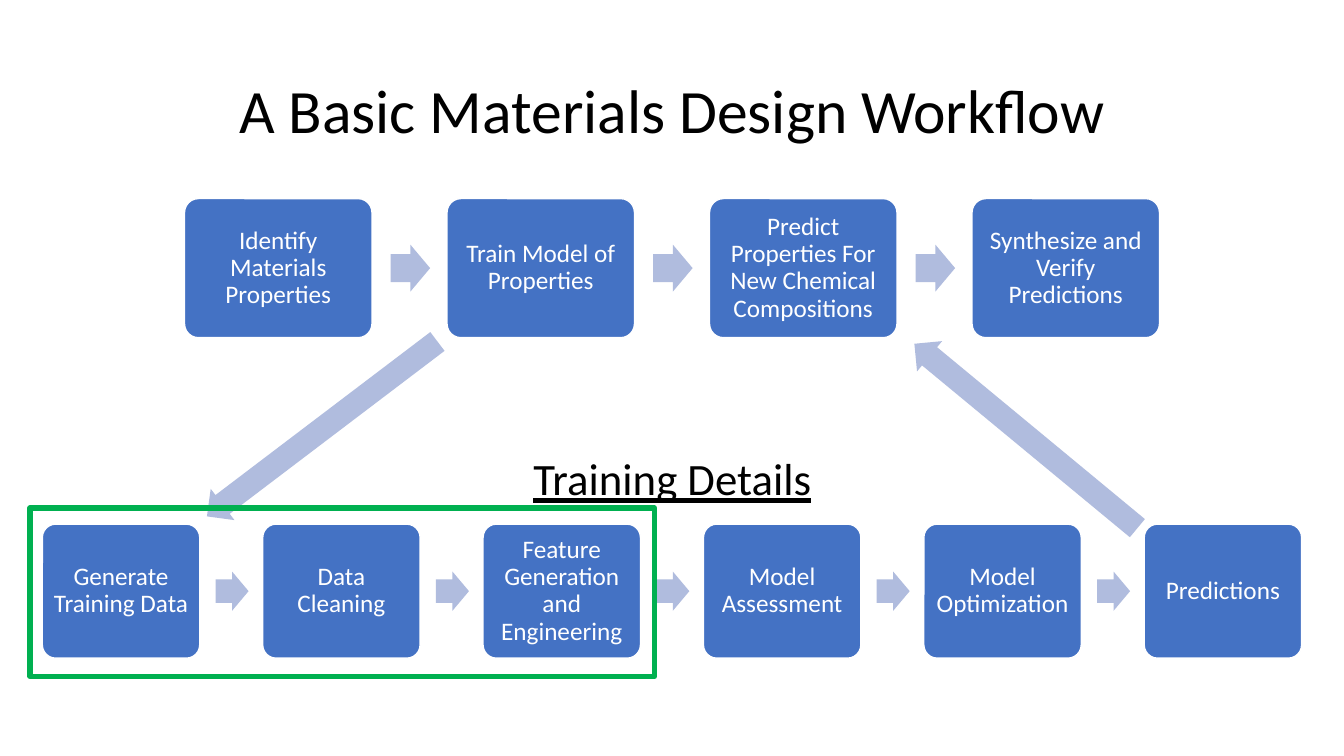
from pptx import Presentation
from pptx.dml.color import RGBColor
from pptx.enum.shapes import MSO_SHAPE
from pptx.enum.text import MSO_ANCHOR, PP_ALIGN
from pptx.util import Inches, Pt

BLUE = "4472C4"
PALE_BLUE = "B0BCDE"
GREEN = "00B050"
WHITE = "FFFFFF"
BLACK = "000000"

DESIGN_STEPS = [
    "Identify Materials Properties",
    "Train Model of Properties",
    "Predict Properties For New Chemical Compositions",
    "Synthesize and Verify Predictions",
]
TRAINING_STEPS = [
    "Generate Training Data",
    "Data Cleaning",
    "Feature Generation and Engineering",
    "Model Assessment",
    "Model Optimization",
    "Predictions",
]


def color(hex_string):
    return RGBColor.from_string(hex_string)


def write_text(shape, text, size=18, hex_color=BLACK, underline=None, margin=None):
    frame = shape.text_frame
    frame.word_wrap = True
    frame.vertical_anchor = MSO_ANCHOR.MIDDLE
    if margin is not None:
        frame.margin_left = frame.margin_right = Inches(margin)
        frame.margin_top = frame.margin_bottom = Inches(margin)
    paragraph = frame.paragraphs[0]
    paragraph.alignment = PP_ALIGN.CENTER
    paragraph.line_spacing = 0.9
    run = paragraph.add_run()
    run.text = text
    run.font.name = "Calibri"
    run.font.size = Pt(size)
    run.font.underline = underline
    run.font.color.rgb = color(hex_color)


def add_box(slide, kind, box, fill=None, line=None, line_width=1):
    shape = slide.shapes.add_shape(kind, *map(Inches, box))
    shape.shadow.inherit = False
    if fill:
        shape.fill.solid()
        shape.fill.fore_color.rgb = color(fill)
    else:
        shape.fill.background()
    if line:
        shape.line.color.rgb = color(line)
        shape.line.width = Pt(line_width)
    else:
        shape.line.fill.background()
    return shape


def add_arrow(slide, box, rotation=0):
    arrow = add_box(slide, MSO_SHAPE.RIGHT_ARROW, box, fill=PALE_BLUE)
    arrow.adjustments[0] = 0.6
    arrow.adjustments[1] = 0.5
    arrow.rotation = rotation


def add_title(slide, box, text):
    title = slide.shapes.title
    title.left, title.top, title.width, title.height = map(Inches, box)
    write_text(title, text, size=44)


def add_heading(slide, box, text):
    heading = slide.shapes.add_textbox(*map(Inches, box))
    write_text(heading, text, size=32, underline=True)


def add_process_row(slide, box, steps):
    """Fill the box with equal steps; each gap is 0.4 of a step and holds an arrow."""
    left, top, width, height = box
    step_width = width / (1.4 * len(steps) - 0.4)
    arrow_width, arrow_height = 0.21 * step_width, 0.25 * step_width
    arrow_top = top + (height - arrow_height) / 2
    for index, text in enumerate(steps):
        step_left = left + 1.4 * step_width * index
        if index:
            arrow_left = step_left - 0.3 * step_width
            add_arrow(slide, (arrow_left, arrow_top, arrow_width, arrow_height))
        step = add_box(slide, MSO_SHAPE.ROUNDED_RECTANGLE,
                       (step_left, top, step_width, height), fill=BLUE, line=WHITE)
        step.adjustments[0] = 0.1
        write_text(step, text, hex_color=WHITE, margin=0.07)


def build_workflow_slide(presentation):
    slide = presentation.slides.add_slide(presentation.slide_layouts[5])
    add_title(slide, (0.92, 0.4, 11.5, 1.45), "A Basic Materials Design Workflow")
    add_process_row(slide, (1.83, 1.97, 9.67, 1.38), DESIGN_STEPS)
    add_process_row(slide, (0.42, 5.2, 12.49, 1.33), TRAINING_STEPS)
    add_arrow(slide, (1.76, 4.06, 2.87, 0.39), rotation=142.8)
    add_arrow(slide, (8.74, 4.13, 2.87, 0.39), rotation=219.6)
    add_heading(slide, (0.92, 4.05, 11.5, 1.45), "Training Details")
    add_box(slide, MSO_SHAPE.RECTANGLE, (0.3, 5.04, 6.19, 1.67), line=GREEN, line_width=4)


def main():
    presentation = Presentation()
    presentation.slide_width = Inches(13.33)
    presentation.slide_height = Inches(7.5)
    build_workflow_slide(presentation)
    presentation.save("out.pptx")


if __name__ == "__main__":
    main()
